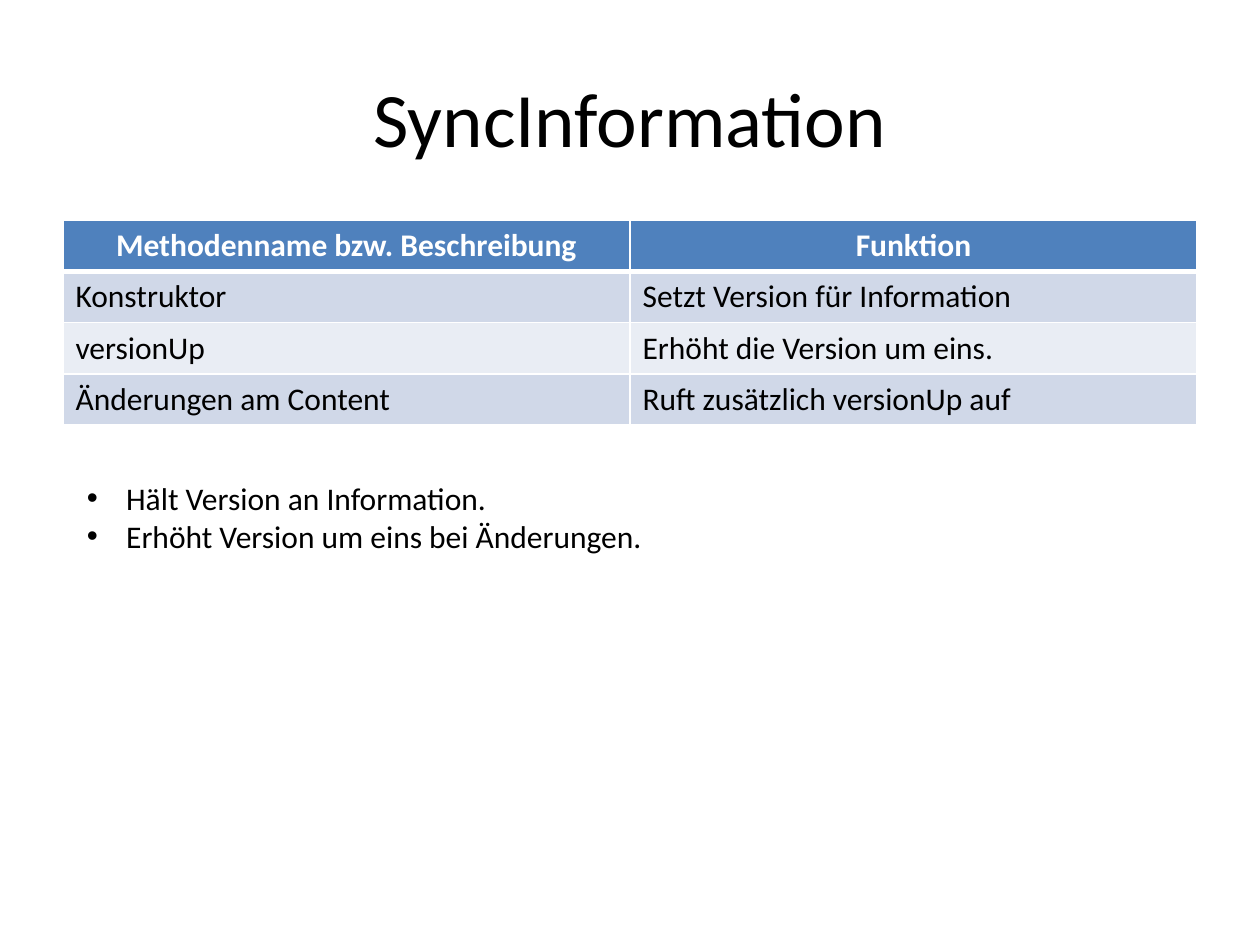
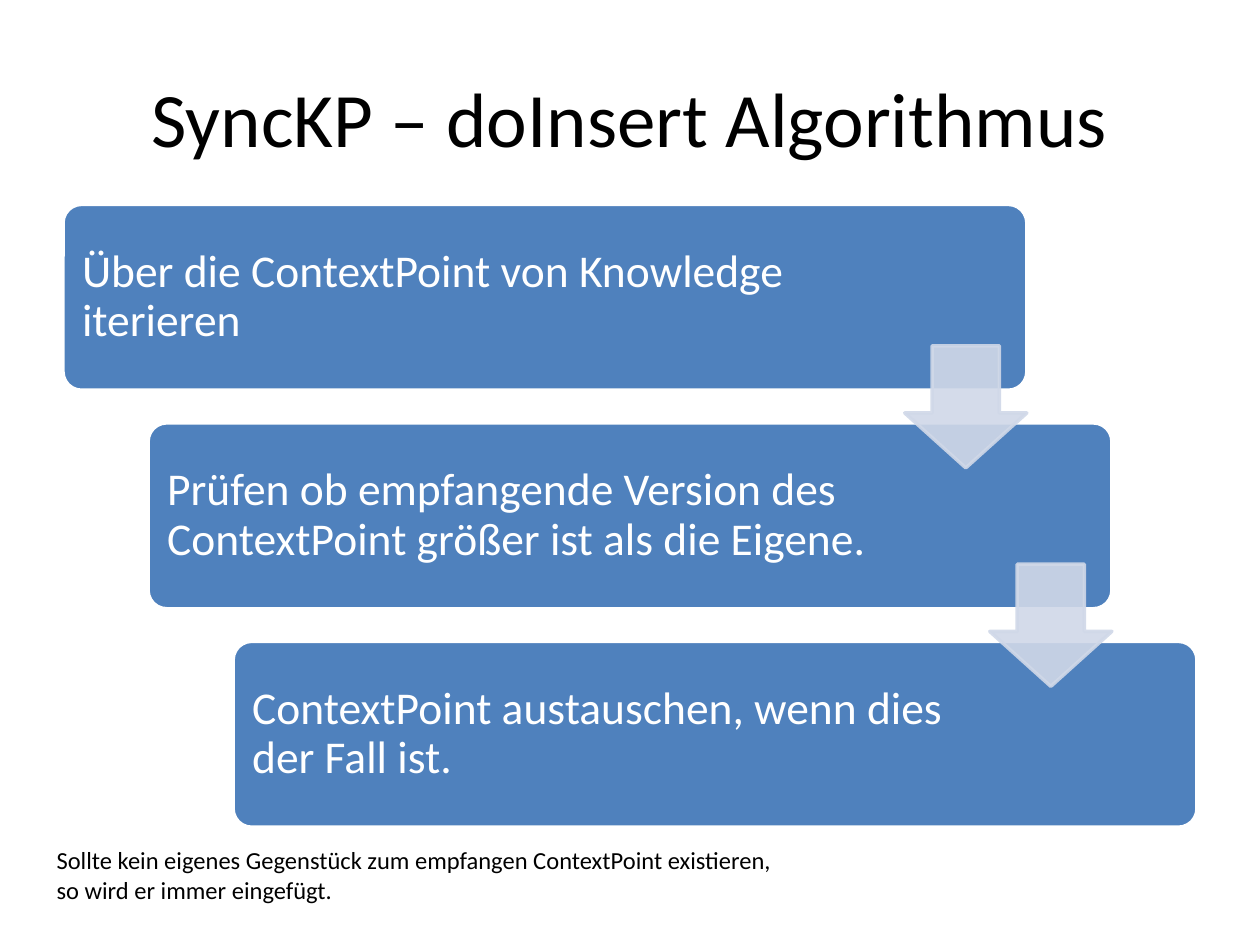
from lxml.etree import SubElement
from pptx import Presentation
from pptx.dml.color import RGBColor
from pptx.enum.shapes import MSO_SHAPE
from pptx.enum.text import MSO_ANCHOR, PP_ALIGN
from pptx.oxml import parse_xml
from pptx.oxml.ns import nsdecls, qn
from pptx.util import Pt

FONT = "Calibri"
BLACK, WHITE, BLUE = "000000", "FFFFFF", "4F81BD"
PALE, PALER = "D0D8E8", "E9EDF4"

METHODS = [
    ("Methodenname bzw. Beschreibung", "Funktion"),
    ("Konstruktor", "Setzt Version für Information"),
    ("versionUp", "Erhöht die Version um eins."),
    ("Änderungen am Content", "Ruft zusätzlich versionUp auf"),
]
STEPS = [
    "Über die ContextPoint von Knowledge iterieren",
    "Prüfen ob empfangende Version des ContextPoint größer ist als die Eigene.",
    "ContextPoint austauschen, wenn dies der Fall ist.",
]
STEP_X, STEP_Y = 48.6, 124.85  # offset from one step to the next


def rgb(color):
    """Turn a hex string into a colour."""
    return RGBColor.from_string(color)


def box(*lengths):
    """Give left, top, width and height in points."""
    return [Pt(n) for n in lengths]


def add_run(p, text, size, color=BLACK, bold=False):
    """Add one formatted run to a paragraph."""
    r = p.add_run()
    r.text = text
    r.font.name, r.font.size, r.font.bold = FONT, Pt(size), bold
    r.font.color.rgb = rgb(color)


def add_slide(prs, title):
    """Add a title-only slide with its centred title."""
    s = prs.slides.add_slide(prs.slide_layouts[5])
    sp = s.shapes.title
    sp.left, sp.top, sp.width, sp.height = box(36, 21.6, 648, 90)
    tf = sp.text_frame
    tf.vertical_anchor = MSO_ANCHOR.MIDDLE
    p = tf.paragraphs[0]
    p.alignment = PP_ALIGN.CENTER
    add_run(p, title, 44)
    return s


def add_bullet(p, indent):
    """Give a paragraph a hanging round bullet."""
    pPr = p._p.get_or_add_pPr()
    pPr.set("marL", str(Pt(indent)))
    pPr.set("indent", str(-Pt(indent)))
    SubElement(pPr, qn("a:buFont")).set("typeface", "Arial")
    SubElement(pPr, qn("a:buChar")).set("char", "•")


def add_text(s, at, lines, size, color=BLACK, bullets=False):
    """Add a wrapping text box with one paragraph a line."""
    tf = s.shapes.add_textbox(*box(*at)).text_frame
    tf.word_wrap = True
    for i, line in enumerate(lines):
        p = tf.add_paragraph() if i else tf.paragraphs[0]
        if bullets:
            add_bullet(p, 22.5)
        add_run(p, line, size, color)
    return tf


def add_borders(cell, top, bottom):
    """Draw white cell borders; the side borders are 1 pt wide."""
    tcPr = cell._tc.get_or_add_tcPr()
    widths = {"lnL": 1, "lnR": 1, "lnT": top, "lnB": bottom}
    for i, (tag, width) in enumerate(widths.items()):
        tcPr.insert(i, parse_xml(
            f'<a:{tag} {nsdecls("a")} w="{Pt(width)}"><a:solidFill>'
            f'<a:srgbClr val="{WHITE}"/></a:solidFill></a:{tag}>'))


def add_table(s, at, rows):
    """Add a table with a blue header and banded rows."""
    table = s.shapes.add_table(len(rows), len(rows[0]), *box(*at)).table
    for i, row in enumerate(rows):
        header = i == 0
        for j, text in enumerate(row):
            cell = table.cell(i, j)
            cell.fill.solid()
            cell.fill.fore_color.rgb = rgb(
                BLUE if header else PALE if i % 2 else PALER)
            add_borders(cell, 3 if i == 1 else 1, 3 if header else 1)
            p = cell.text_frame.paragraphs[0]
            p.alignment = PP_ALIGN.CENTER if header else PP_ALIGN.LEFT
            add_run(p, text, 18, WHITE if header else BLACK, header)


def add_shape(s, kind, at, adjustments, fill, line):
    """Add a preset shape with a 2 pt outline and no shadow."""
    sp = s.shapes.add_shape(kind, *box(*at))
    for i, value in enumerate(adjustments):
        sp.adjustments[i] = value
    sp.shadow.inherit = False
    sp.fill.solid()
    sp.fill.fore_color.rgb = rgb(fill)
    sp.line.color.rgb = rgb(line)
    sp.line.width = Pt(2)
    return sp


def add_step(s, i, text):
    """Add step i of the staircase with its text."""
    left, top = 36 + i * STEP_X, 116.8 + i * STEP_Y
    add_shape(s, MSO_SHAPE.ROUNDED_RECTANGLE, (left, top, 550.8, 106.2),
              [0.1], BLUE, WHITE)
    width = 426.2 if i else 435.6
    tf = add_text(s, (left + 3.1, top + 3.1, width, 100), [text], 26, WHITE)
    tf.vertical_anchor = MSO_ANCHOR.MIDDLE
    tf.margin_left = tf.margin_right = Pt(7.8)
    tf.margin_top = tf.margin_bottom = Pt(7.8)
    tf.paragraphs[0].line_spacing = 0.9


def add_step_arrow(s, i):
    """Add the translucent arrow from step i to the next."""
    at = (517 + i * STEP_X, 197.6 + i * STEP_Y, 69.8, 69.8)
    sp = add_shape(s, MSO_SHAPE.DOWN_ARROW, at, [0.55, 0.45], PALE, PALE)
    for clr in sp._element.spPr.iter(qn("a:srgbClr")):
        SubElement(clr, qn("a:alpha")).set("val", "90000")


def add_method_slide(prs):
    """Build the slide with the table of methods."""
    s = add_slide(prs, "SyncInformation")
    add_table(s, (36, 126, 648, 116.8), METHODS)
    add_text(s, (42.5, 270, 641, 72.7),
             ["Hält Version an Information.",
              "Erhöht Version um eins bei Änderungen."], 18, bullets=True)


def add_algorithm_slide(prs):
    """Build the slide with the staircase of steps."""
    s = add_slide(prs, "SyncKP – doInsert Algorithmus")
    for i, text in enumerate(STEPS):
        add_step(s, i, text)
    for i in range(len(STEPS) - 1):
        add_step_arrow(s, i)
    add_text(s, (25.2, 479.5, 430.6, 58.3),
             ["Sollte kein eigenes Gegenstück zum empfangen ContextPoint "
              "existieren,", "so wird er immer eingefügt."], 14)


def main():
    """Build and save the presentation."""
    prs = Presentation()
    prs.slide_width, prs.slide_height = Pt(720), Pt(540)
    add_method_slide(prs)
    add_algorithm_slide(prs)
    prs.save("out.pptx")


main()
